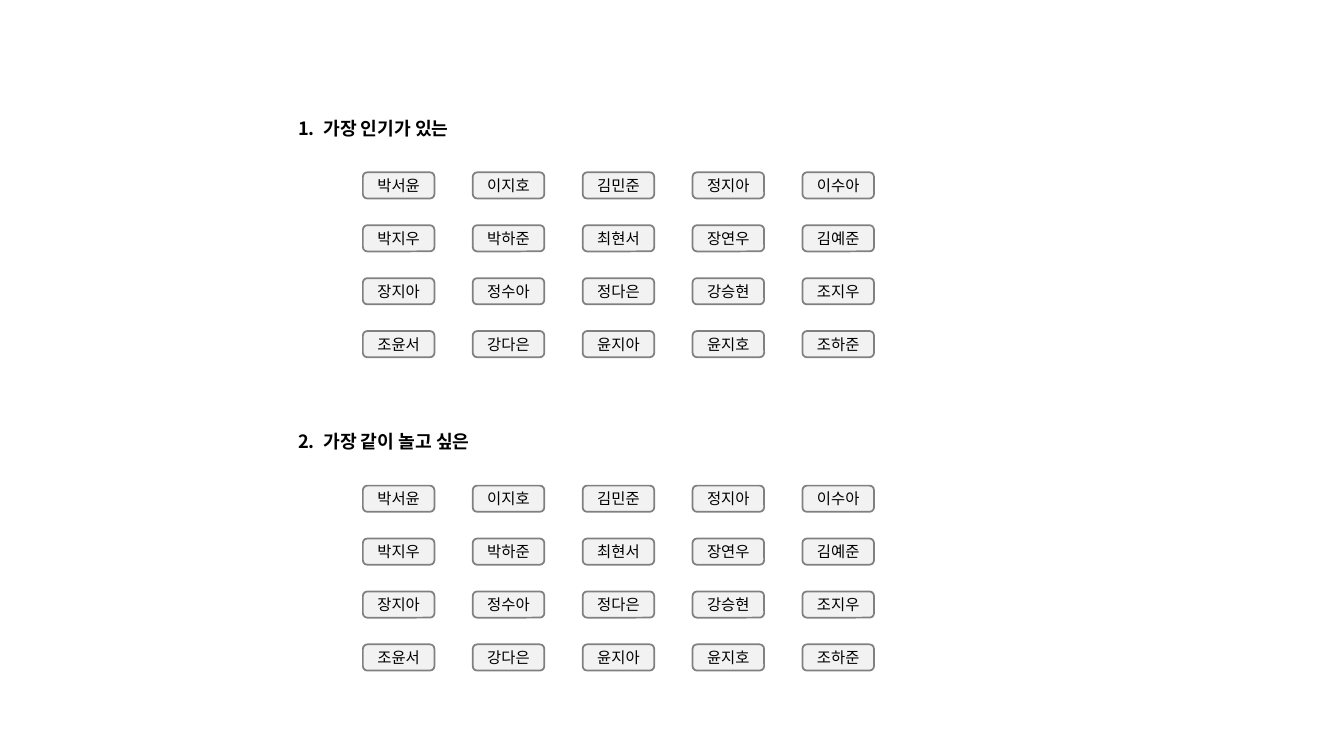
from lxml import etree
from pptx import Presentation
from pptx.dml.color import RGBColor
from pptx.enum.shapes import MSO_SHAPE
from pptx.enum.text import MSO_ANCHOR, MSO_AUTO_SIZE, PP_ALIGN
from pptx.oxml.ns import qn
from pptx.util import Pt

QUESTIONS = [("1.", "가장 인기가 있는"), ("2.", "가장 같이 놀고 싶은")]
STUDENTS = [
    ["박서윤", "이지호", "김민준", "정지아", "이수아"],
    ["박지우", "박하준", "최현서", "장연우", "김예준"],
    ["장지아", "정수아", "정다은", "강승현", "조지우"],
    ["조윤서", "강다은", "윤지아", "윤지호", "조하준"],
]

ROUNDED = MSO_SHAPE.ROUNDED_RECTANGLE
MIDDLE = MSO_ANCHOR.MIDDLE
CENTER = PP_ALIGN.CENTER
GROW = MSO_AUTO_SIZE.SHAPE_TO_FIT_TEXT
FONT = "Noto Sans CJK KR"
COLORS = {"text": "000000", "button": "F2F2F2", "border": "808080"}
HEADING_FORMAT = {"name": FONT, "size": Pt(13), "bold": True}
BUTTON_FORMAT = {"name": FONT, "size": Pt(11), "bold": False}

SLIDE_WIDTH, SLIDE_HEIGHT = 960, 540
HEADING_LEFT, HEADING_TOP = 205.9, 79.9
HEADING_WIDTH, HEADING_HEIGHT = 210.2, 23
NUMBER_INDENT = 18
QUESTION_PITCH = 223.8
GRID_LEFT, GRID_OFFSET = 259.2, 43.2
COLUMN_PITCH, ROW_PITCH = 78.5, 37.8
BUTTON_WIDTH, BUTTON_HEIGHT = 51.1, 18.7


def color(name):
    return RGBColor.from_string(COLORS[name])


def write_text(paragraph, text, font_format):
    run = paragraph.add_run()
    run.text = text
    for attribute, value in font_format.items():
        setattr(run.font, attribute, value)
    run.font.color.rgb = color("text")
    east_asian = etree.SubElement(run.font._element, qn("a:ea"))
    east_asian.set("typeface", FONT)


def add_heading(slide, number, title, top):
    box = slide.shapes.add_textbox(
        Pt(HEADING_LEFT), Pt(top), Pt(HEADING_WIDTH), Pt(HEADING_HEIGHT))
    box.text_frame.word_wrap = True
    box.text_frame.auto_size = GROW
    paragraph = box.text_frame.paragraphs[0]
    properties = paragraph._p.get_or_add_pPr()
    properties.set("marL", str(Pt(NUMBER_INDENT)))
    properties.set("indent", str(-Pt(NUMBER_INDENT)))
    write_text(paragraph, f"{number}\t{title}", HEADING_FORMAT)


def add_button(slide, student, left, top):
    button = slide.shapes.add_shape(
        ROUNDED, Pt(left), Pt(top), Pt(BUTTON_WIDTH), Pt(BUTTON_HEIGHT))
    button.shadow.inherit = False
    button.fill.solid()
    button.fill.fore_color.rgb = color("button")
    button.line.color.rgb = color("border")
    button.line.width = Pt(1.25)
    button.text_frame.vertical_anchor = MIDDLE
    paragraph = button.text_frame.paragraphs[0]
    paragraph.alignment = CENTER
    write_text(paragraph, student, BUTTON_FORMAT)


def main():
    presentation = Presentation()
    presentation.slide_width = Pt(SLIDE_WIDTH)
    presentation.slide_height = Pt(SLIDE_HEIGHT)
    slide = presentation.slides.add_slide(presentation.slide_layouts[6])
    for index, (number, title) in enumerate(QUESTIONS):
        heading_top = HEADING_TOP + index * QUESTION_PITCH
        add_heading(slide, number, title, heading_top)
        for row, students in enumerate(STUDENTS):
            top = heading_top + GRID_OFFSET + row * ROW_PITCH
            for column, student in enumerate(students):
                left = GRID_LEFT + column * COLUMN_PITCH
                add_button(slide, student, left, top)
    presentation.save("out.pptx")


if __name__ == "__main__":
    main()
